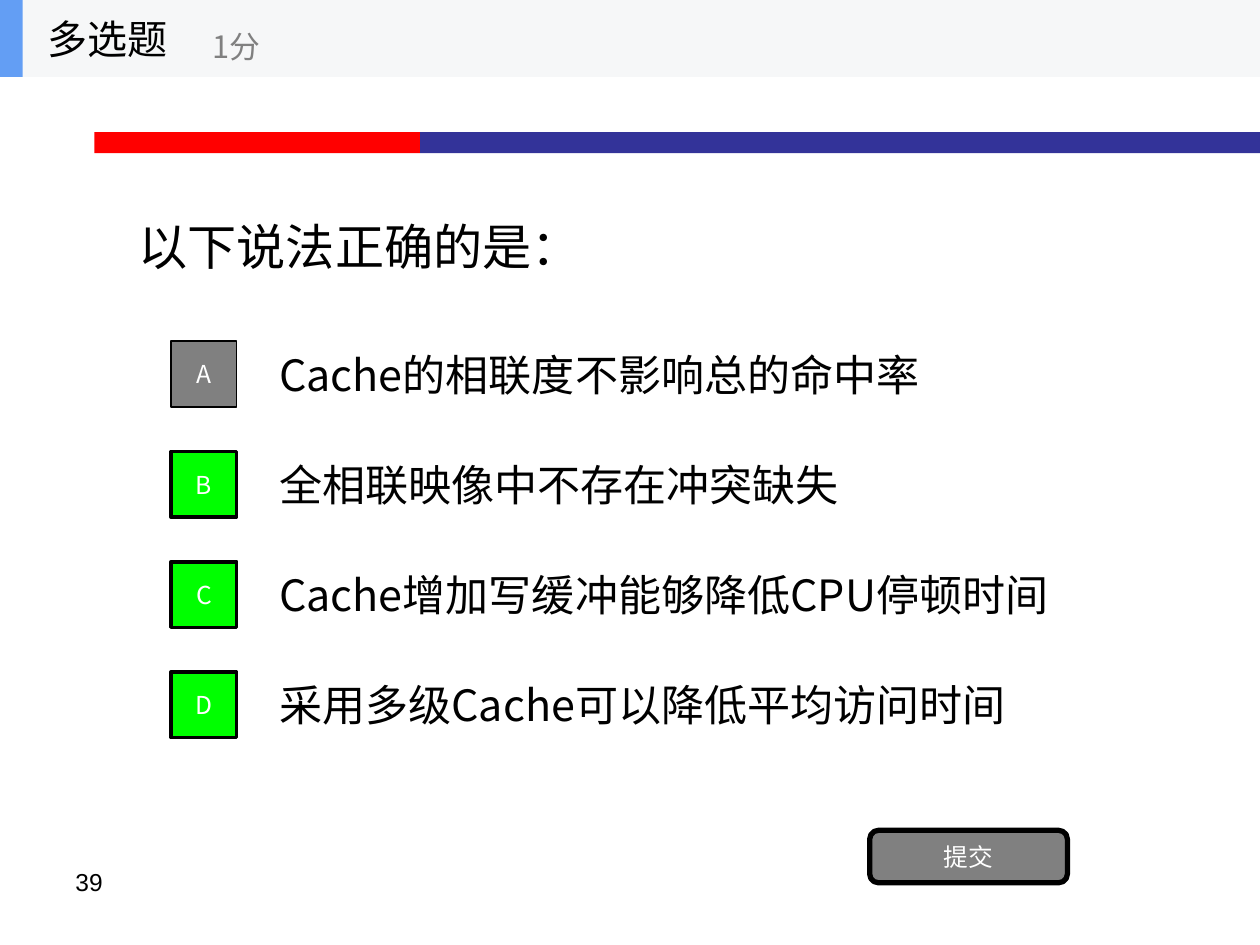
from lxml import etree
from pptx import Presentation
from pptx.dml.color import RGBColor
from pptx.enum.shapes import MSO_SHAPE
from pptx.enum.text import MSO_ANCHOR, PP_ALIGN
from pptx.oxml.ns import qn
from pptx.util import Pt

RECT, ROUND = MSO_SHAPE.RECTANGLE, MSO_SHAPE.ROUNDED_RECTANGLE
TOP, MIDDLE = MSO_ANCHOR.TOP, MSO_ANCHOR.MIDDLE
LEFT, CENTER = PP_ALIGN.LEFT, PP_ALIGN.CENTER
CJK = "Noto Sans CJK SC"
COLORS = {
    "black": "000000", "white": "FFFFFF", "gray": "808080", "green": "00FF00",
    "red": "FF0000", "navy": "333399", "header": "F6F7F8", "accent": "639EF4",
}


def write(sp, text, size, color="black", font=CJK, align=LEFT, anchor=MIDDLE, wrap=True):
    tf = sp.text_frame
    tf.word_wrap = wrap
    tf.vertical_anchor = anchor
    p = tf.paragraphs[0]
    p.text = text
    p.alignment = align
    p.font.size = Pt(size)
    p.font.name = font
    p.font.color.rgb = RGBColor.from_string(COLORS[color])
    ea = etree.SubElement(p.font._element, qn("a:ea"))
    ea.set("typeface", CJK)


def add_box(kind, x, y, w, h, fill, line=0):
    sp = s.shapes.add_shape(kind, Pt(x), Pt(y), Pt(w), Pt(h))
    sp.shadow.inherit = False
    sp.fill.solid()
    sp.fill.fore_color.rgb = RGBColor.from_string(COLORS[fill])
    if line:
        sp.line.color.rgb = RGBColor.from_string(COLORS["black"])
        sp.line.width = Pt(line)
    else:
        sp.line.fill.background()
    return sp


prs = Presentation()
prs.slide_width, prs.slide_height = Pt(720), Pt(540)
s = prs.slides.add_slide(prs.slide_layouts[5])

add_box(RECT, 54, 75.5, 186, 12, "red")
add_box(RECT, 240, 75.5, 480, 12, "navy")

title = s.shapes.title
title.left, title.top, title.width, title.height = Pt(72), Pt(62), Pt(576), Pt(157.5)
write(title, "以下说法正确的是：", 28.1, font="Arial")

number = s.shapes.add_textbox(Pt(36), Pt(492), Pt(168), Pt(37.5))
write(number, "39", 14, font="Arial", anchor=TOP)

options = [
    ("A", "Cache的相联度不影响总的命中率", "gray", 1),
    ("B", "全相联映像中不存在冲突缺失", "green", 2),
    ("C", "Cache增加写缓冲能够降低CPU停顿时间", "green", 2),
    ("D", "采用多级Cache可以降低平均访问时间", "green", 2),
]
for i, (letter, text, fill, line) in enumerate(options):
    y = 190 + 63 * i
    answer = s.shapes.add_textbox(Pt(152.5), Pt(y), Pt(504), Pt(47.5))
    write(answer, text, 24.6)
    badge = add_box(RECT, 97.75, y + 5, 37.5, 37.5, fill, line)
    write(badge, letter, 14.1, "white", align=CENTER, wrap=False)

submit = add_box(ROUND, 497, 474.5, 113, 30, "gray", 3)
write(submit, "提交", 14.1, "white", align=CENTER, wrap=False)

add_box(RECT, 0, 0, 720, 44, "header")
add_box(RECT, 0, 0, 13, 44, "accent")
heading = s.shapes.add_textbox(Pt(20), Pt(0), Pt(132), Pt(44))
write(heading, "多选题", 22.9, wrap=False)
score = s.shapes.add_textbox(Pt(114.5), Pt(8.75), Pt(158.5), Pt(35.25))
write(score, "1分", 17.6, "gray", wrap=False)

prs.save("out.pptx")
